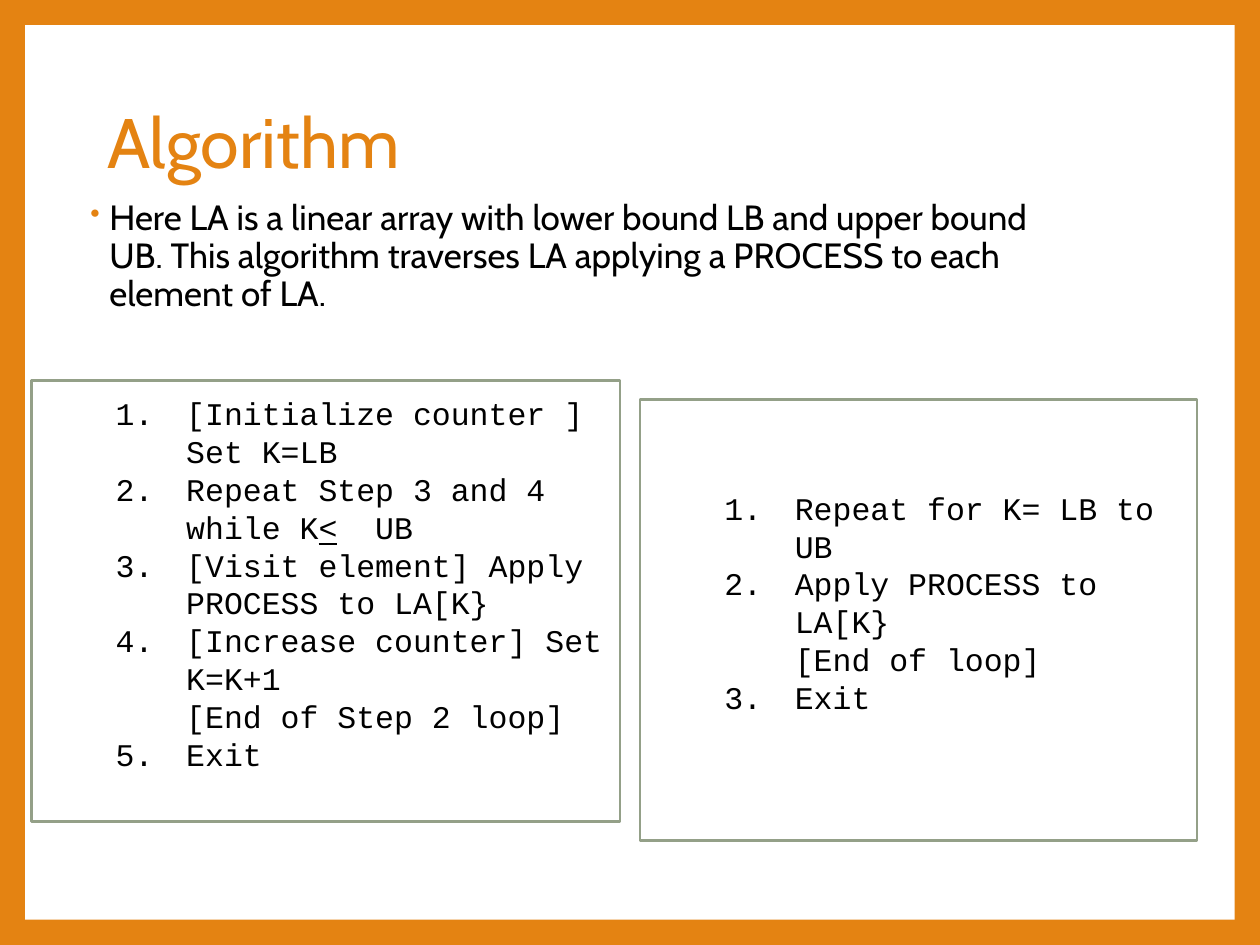
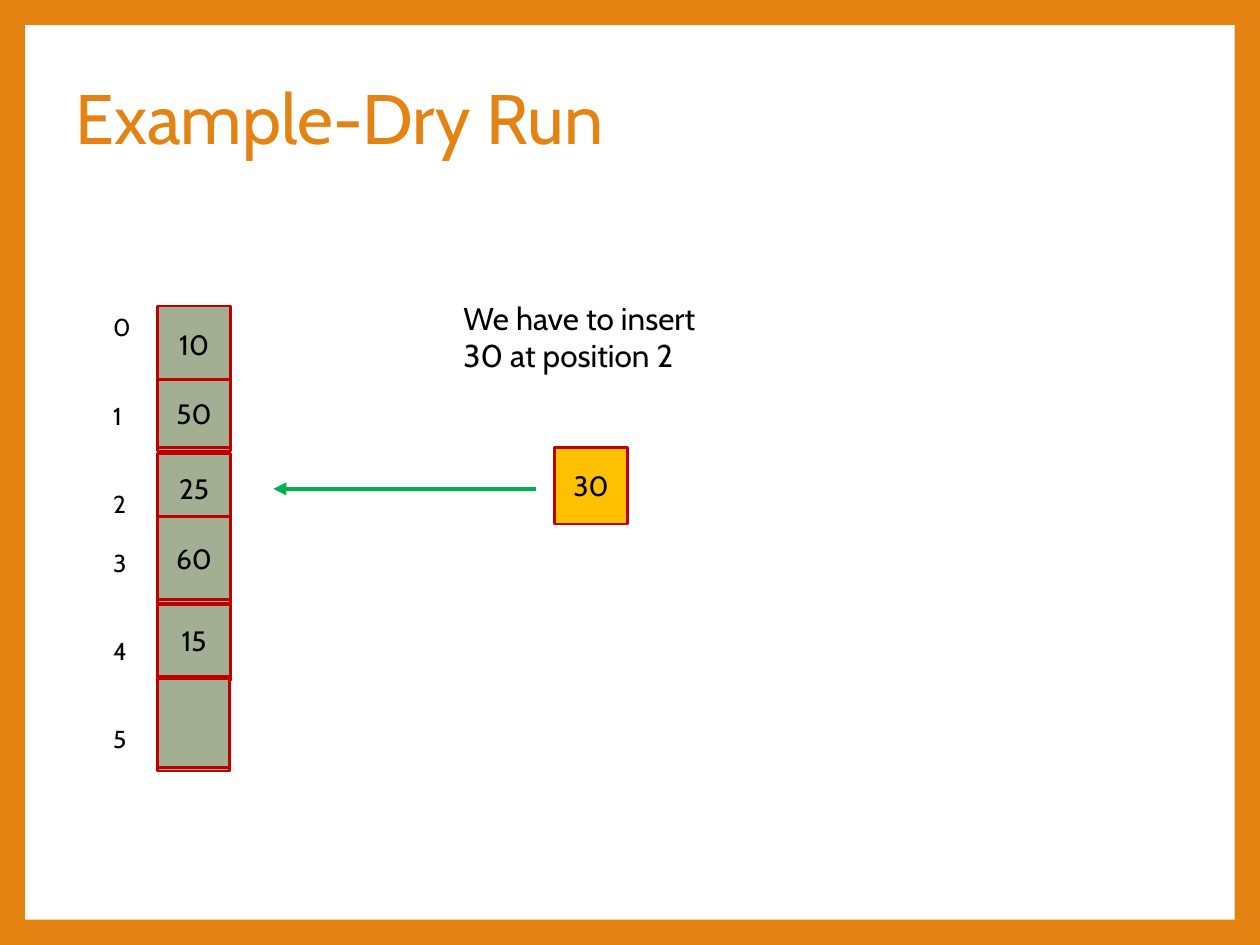
"""Build two slides on traversing an array and inserting into it."""
from lxml.etree import SubElement
from pptx import Presentation
from pptx.dml.color import RGBColor
from pptx.enum.shapes import MSO_CONNECTOR as Connector, MSO_SHAPE as Preset
from pptx.enum.text import MSO_ANCHOR as Anchor, MSO_AUTO_SIZE as AutoSize, PP_ALIGN as Align
from pptx.oxml.ns import qn
from pptx.util import Pt

SCALE = 9144
ORANGE, WHITE, BLACK = "E48312", "FFFFFF", "000000"
SAGE, SAGE_LINE, RED, AMBER, GREEN = "A2AF92", "94A088", "C00000", "FFC000", "00B050"
SANS, MONO = "Cabin", "Courier New"


def px(*lengths):
    return [length * SCALE for length in lengths]


def color(code):
    return RGBColor.from_string(code)


class Deck:
    def __init__(self):
        self.deck = Presentation()
        self.deck.slide_width, self.deck.slide_height = px(1000, 750)
        backdrop = self.deck.slide_master.background.fill
        backdrop.solid()
        backdrop.fore_color.rgb = color(ORANGE)
        self.page = None

    def add_page(self, title, left, top):
        self.page = self.deck.slides.add_slide(self.deck.slide_layouts[5])
        panel = self.box((20, 20, 960, 710), WHITE)
        self.page.shapes._spTree.insert(2, panel._element)
        heading = self.page.shapes.title
        heading.left, heading.top, heading.width, heading.height = px(left, top, 810, 148)
        frame = heading.text_frame
        frame.text = title
        frame.auto_size = AutoSize.NONE
        frame.vertical_anchor = Anchor.MIDDLE
        para = frame.paragraphs[0]
        para.alignment = Align.LEFT
        para.line_spacing = 0.9
        self.style(para, 40, tint=ORANGE)

    def style(self, para, size, face=SANS, tint=BLACK):
        para.font.size = Pt(size)
        para.font.name = face
        para.font.color.rgb = color(tint)

    def box(self, place, fill, line=None, text=""):
        box = self.page.shapes.add_shape(Preset.RECTANGLE, *px(*place))
        box.shadow.inherit = False
        box.fill.solid()
        box.fill.fore_color.rgb = color(fill)
        if line:
            box.line.color.rgb = color(line)
            box.line.width = Pt(1.5)
        else:
            box.line.fill.background()
        box.text_frame.vertical_anchor = Anchor.MIDDLE
        if text:
            para = box.text_frame.paragraphs[0]
            para.text = text
            para.alignment = Align.CENTER
            self.style(para, 16)
        return box

    def text(self, place, lines, size):
        box = self.page.shapes.add_textbox(*px(*place))
        frame = box.text_frame
        frame.word_wrap = True
        frame.text = "\n".join(lines)
        for para in frame.paragraphs:
            self.style(para, size)
        return frame.paragraphs

    def indent(self, para, left, hanging):
        margin, first = px(left, -hanging)
        props = para._p.get_or_add_pPr()
        props.set("marL", str(margin))
        props.set("indent", str(first))
        return props

    def bullet(self, para):
        props = self.indent(para, 19, 15)
        tint = SubElement(props, qn("a:buClr"))
        SubElement(tint, qn("a:srgbClr"), val=ORANGE)
        SubElement(props, qn("a:buSzPct"), val="80000")
        SubElement(props, qn("a:buChar"), char="•")

    def steps(self, place, steps):
        frame = self.box(place, WHITE, SAGE_LINE).text_frame
        frame.word_wrap = True
        frame.margin_bottom = px(33)[0]
        number = 0
        for index, (numbered, *spans) in enumerate(steps):
            para = frame.add_paragraph() if index else frame.paragraphs[0]
            para.alignment = Align.LEFT
            props = self.indent(para, 113, 56 if numbered else 0)
            if numbered:
                number += 1
                restart = {} if steps[index - 1][0] and index else {"startAt": str(number)}
                SubElement(props, qn("a:buFont"), typeface=MONO)
                SubElement(props, qn("a:buAutoNum"), type="arabicPeriod", **restart)
            self.style(para, 18, MONO)
            for words in spans:
                span = para.add_run()
                span.text = words
                if words == "<":
                    span.font.underline = True

    def arrow(self, start, end, tint):
        arrow = self.page.shapes.add_connector(Connector.STRAIGHT, *px(*start, *end))
        arrow.line.color.rgb = color(tint)
        arrow.line.width = Pt(2.5)
        SubElement(arrow.line._get_or_add_ln(), qn("a:tailEnd"), type="triangle")
        SubElement(arrow._element.spPr, qn("a:effectLst"))


def algorithm_page(deck):
    deck.add_page("Algorithm", 75, 42)
    summary = deck.text((58, 154, 810, 120), [
        "Here LA is a linear array with lower bound LB and upper bound UB. "
        "This algorithm traverses LA applying a PROCESS to each element of LA."], 20)[0]
    summary.line_spacing = 0.9
    summary.space_before = Pt(10)
    deck.bullet(summary)
    deck.steps((25, 302, 467, 350), [
        (True, "[Initialize counter ] Set K=LB"),
        (True, "Repeat Step 3 and 4 while K", "<", "  UB"),
        (True, "[Visit element] Apply PROCESS to LA[K}"),
        (True, "[Increase counter] Set K=K+1"),
        (False, "[End of Step 2 loop]"),
        (True, "Exit")])
    deck.steps((508, 317, 442, 350), [
        (True, "Repeat for K= LB to UB"),
        (True, "Apply PROCESS to LA[K}"),
        (False, "[End of loop]"),
        (True, "Exit")])


def dry_run_page(deck):
    deck.add_page("Example-Dry Run", 50, 23)
    cells = {"50": (304, 58, 54), "15": (483, 58, 57), "10": (243, 58, 61),
             "60": (413, 58, 66), "25": (360, 58, 55), "": (542, 57, 70)}
    for lift, values in ((0, cells), (3, ("50", "15", "60", ""))):
        for value in values:
            top, width, height = cells[value]
            deck.box((125, top - lift, width, height), SAGE, RED, value)
    labels = deck.text((80, 243, 42, 394), "012345", 14)
    for label, blank_lines in zip(labels, (0, 2, 2, 1, 2, 2)):
        label.space_before = Pt(16.8 * blank_lines)
    deck.text((358, 232, 222, 71), ["We have to insert 30 at position 2"], 18)
    deck.box((440, 355, 58, 61), AMBER, RED, "30")
    deck.arrow((425, 388), (217, 388), GREEN)


def main():
    deck = Deck()
    algorithm_page(deck)
    dry_run_page(deck)
    deck.deck.save("out.pptx")


if __name__ == "__main__":
    main()
